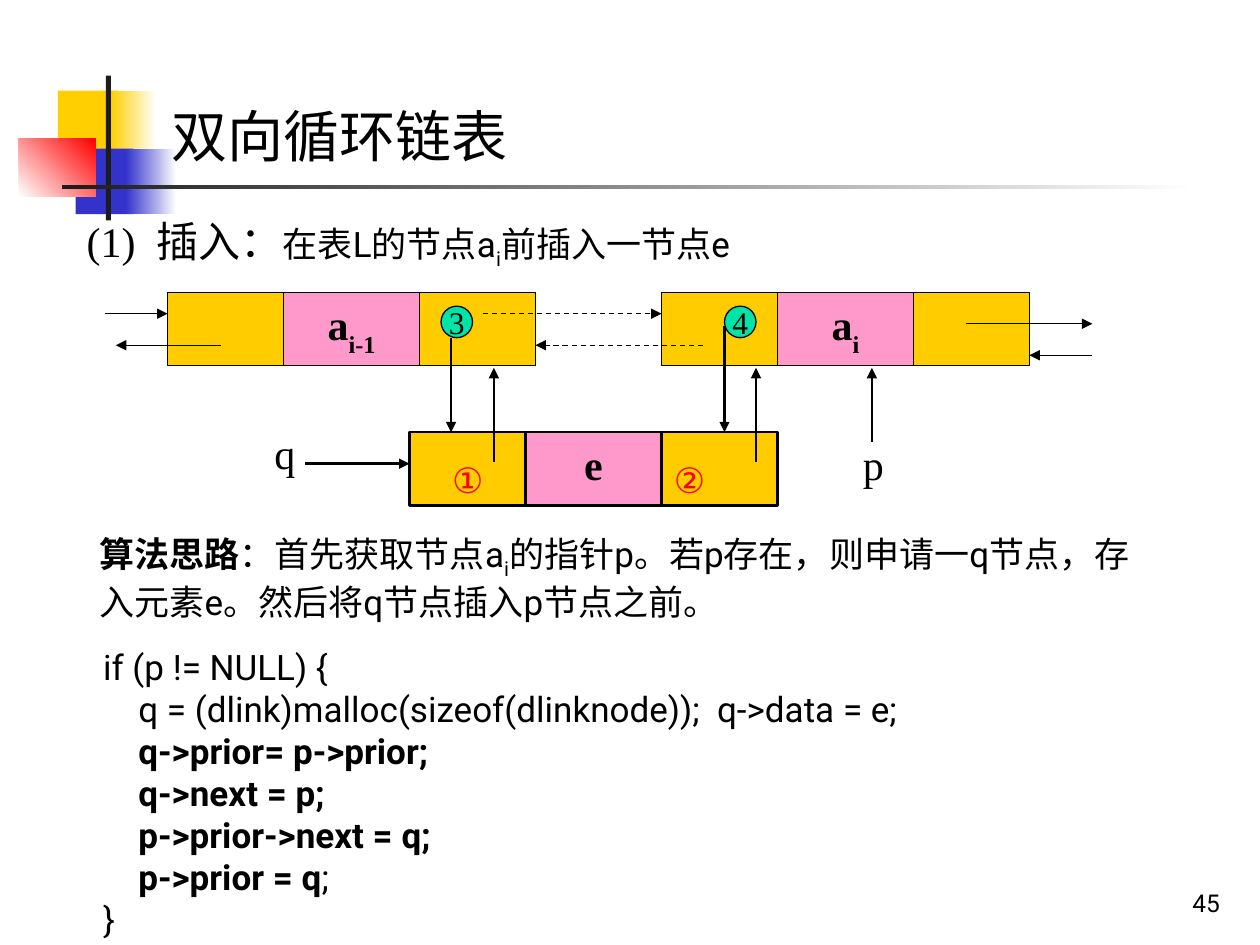
"""Build the slide on inserting a node into a doubly linked circular list."""
from lxml.etree import SubElement
from pptx import Presentation
from pptx.dml.color import RGBColor
from pptx.enum.dml import MSO_LINE_DASH_STYLE as Dash
from pptx.enum.shapes import MSO_CONNECTOR as Connector, MSO_SHAPE as Shape
from pptx.enum.text import MSO_ANCHOR as Anchor, PP_ALIGN as Align
from pptx.oxml.ns import qn
from pptx.util import Inches, Pt

COLORS = {
    "black": "000000", "white": "FFFFFF", "ink": "1C1C1C", "red": "FF0000",
    "yellow": "FFCF01", "blue": "3333CC", "pointer": "FFCC00",
    "data": "FF99CC", "step": "00E4A8",
}
SERIF, SANS = "Times New Roman", "Roboto"
CHINESE, TITLE = "Noto Sans CJK SC", "Noto Sans CJK JP"
SUB, BOLD = {"baseline": -25}, {"bold": True}

DECORATIONS = [
    ((0.46, 0.72, 0.48, 0.52), ["yellow"], 0),
    ((0.88, 0.72, 0.36, 0.52), ["yellow", "white"], 0),
    ((0.6, 1.18, 0.46, 0.52), ["blue"], 0),
    ((1, 1.18, 0.4, 0.52), ["blue", "white"], 0),
    ((0.15, 1.1, 0.61, 0.46), ["white", "red"], 45),
    ((0.84, 0.6, 0.04, 1.15), ["ink"], 0),
    ((0.49, 1.47, 9, 0.03), ["ink", "white"], 0),
]

TEXTS = [
    ((0.59, 1.66, 7.4, 0.54),
     [[("(1)  ", {"size": 24, "font": SERIF}), ("插入：", {"size": 24, "font": CHINESE}),
       ("在表L的节点a", {}), ("i", SUB), ("前插入一节点e", {})]], {}),
    ((1.26, 0.76, 8.74, 0.64), [[("双向循环链表", {})]],
     {"size": 32, "font": TITLE, "east_asian": TITLE}),
    ((0.69, 4.18, 8.5, 0.82),
     [[("算法思路", BOLD), ("：首先获取节点a", {}), ("i", SUB),
       ("的指针p。若p存在，则申请一q节点，存入元素e。然后将q节点插入p节点之前。", {})]], {}),
    ((2.08, 3.34, 0.5, 0.5), [[("q", {})]], {"size": 24, "font": SERIF}),
    ((6.75, 3.43, 0.42, 0.5), [[("p", {})]], {"size": 24, "font": SERIF}),
    ((7.7, 6.83, 2.08, 0.5), [[("45", {})]],
     {"size": 14, "align": Align.RIGHT, "anchor": Anchor.BOTTOM}),
]

CODE_BOX, CODE_INDENT = (0.72, 5.07, 8.5, 2.44), 0.28
CODE = [
    (0, [("if (p != NULL) {", {})]),
    (1, [("q = (dlink)malloc(sizeof(dlinknode));  q->data = e;", {})]),
    (1, [("q->prior= p->prior;", BOLD)]),
    (1, [("q->next = p;", BOLD)]),
    (1, [("p->prior->next = q;", BOLD)]),
    (1, [("p->prior = q", BOLD), (";", {})]),
    (0, [("}", {})]),
]

POINTER_WIDTH, DATA_WIDTH, CELL_HEIGHT = 0.92, 1.08, 0.58
NODES = [
    (1.33, 2.32, 0.75, "a", "i-1", "", ""),
    (5.25, 2.32, 0.75, "a", "i", "", ""),
    (3.25, 3.43, 1.5, "e", "", "①", "②"),
]
STEPS = [("3", 3.5), ("4", 5.75)]
STEP_TOP, STEP_SIZE = 2.43, 0.25

ARROWS = [
    (0.75, None, [(0.83, 2.49, 1.33, 2.49), (1.75, 2.74, 0.92, 2.74),
                  (8.67, 2.82, 8.17, 2.82), (7.67, 2.57, 8.67, 2.57)]),
    (0.75, Dash.DASH, [(5.58, 2.74, 4.25, 2.74), (3.83, 2.49, 5.25, 2.49)]),
    (1.5, None, [(3.92, 3.67, 3.92, 2.92), (6, 3.67, 6, 2.92),
                 (2.42, 3.68, 3.25, 3.68), (6.92, 3.51, 6.92, 2.92),
                 (3.58, 2.68, 3.58, 3.43), (5.75, 2.59, 5.75, 3.43)]),
]


def rgb(name):
    return RGBColor.from_string(COLORS[name])


def write(shape, paragraphs, size=20, font=SANS, east_asian=CHINESE, color="black", bold=False,
          align=Align.LEFT, anchor=Anchor.TOP, wrap=True, top=0.05, indents=()):
    frame = shape.text_frame
    frame.word_wrap = wrap
    frame.vertical_anchor = anchor
    frame.margin_top = Inches(top)
    for index, runs in enumerate(paragraphs):
        paragraph = frame.add_paragraph() if index else frame.paragraphs[0]
        paragraph.alignment = align
        if indents and indents[index]:
            paragraph._p.get_or_add_pPr().set("marL", str(Inches(indents[index])))
        for text, style in runs:
            run = paragraph.add_run()
            run.text = text
            run.font.size = Pt(style.get("size", size))
            run.font.bold = style.get("bold", bold)
            run.font.color.rgb = rgb(color)
            run.font.name = style.get("font", font)
            properties = run._r.get_or_add_rPr()
            SubElement(properties, qn("a:ea")).set("typeface", east_asian)
            if "baseline" in style:
                properties.set("baseline", str(style["baseline"] * 1000))


def add_text(slide, box, paragraphs, **style):
    write(slide.shapes.add_textbox(*map(Inches, box)), paragraphs, **style)


def add_block(slide, box, fills, angle=0, line=None, kind=Shape.RECTANGLE):
    shape = slide.shapes.add_shape(kind, *map(Inches, box))
    shape.shadow.inherit = False
    if len(fills) == 1:
        shape.fill.solid()
        shape.fill.fore_color.rgb = rgb(fills[0])
    else:
        shape.fill.gradient()
        shape.fill.gradient_angle = angle
        for stop, position, name in zip(shape.fill.gradient_stops, (0, 1), fills):
            stop.position = position
            stop.color.rgb = rgb(name)
    if line:
        shape.line.color.rgb = rgb("black")
        shape.line.width = Pt(line)
    else:
        shape.line.fill.background()
    return shape


def add_node(slide, left, top, line, label, subscript, prior_mark, next_mark):
    columns = [
        (left, POINTER_WIDTH, "pointer", prior_mark, 0.24),
        (left + POINTER_WIDTH, DATA_WIDTH, "data", label, 0),
        (left + POINTER_WIDTH + DATA_WIDTH, POINTER_WIDTH, "pointer", next_mark, 0),
    ]
    for cell_left, width, fill, text, indent in columns:
        cell = add_block(slide, (cell_left, top, width, CELL_HEIGHT), [fill], line=line)
        if fill == "data":
            runs = [(text, {})]
            if subscript:
                runs.append((subscript, {"baseline": -30}))
            write(cell, [runs], size=24, font=SERIF, bold=True, align=Align.CENTER)
        elif text:
            write(cell, [[(text, {})]], color="red", top=0.21, indents=[indent])


def add_arrow(slide, ends, width, dash):
    arrow = slide.shapes.add_connector(Connector.STRAIGHT, *map(Inches, ends))
    arrow.line.color.rgb = rgb("black")
    arrow.line.width = Pt(width)
    if dash:
        arrow.line.dash_style = dash
    SubElement(arrow.line._get_or_add_ln(), qn("a:tailEnd")).set("type", "triangle")
    SubElement(arrow._element.spPr, qn("a:effectLst"))


def main():
    presentation = Presentation()
    presentation.slide_width, presentation.slide_height = Inches(10), Inches(7.5)
    slide = presentation.slides.add_slide(presentation.slide_layouts[6])
    for box, fills, angle in DECORATIONS:
        add_block(slide, box, fills, angle)
    for node in NODES:
        add_node(slide, *node)
    for number, left in STEPS:
        circle = add_block(slide, (left, STEP_TOP, STEP_SIZE, STEP_SIZE), ["step"],
                           line=0.75, kind=Shape.OVAL)
        write(circle, [[(number, {})]], size=18, font=SERIF, align=Align.CENTER,
              anchor=Anchor.MIDDLE, wrap=False)
    for width, dash, lines in ARROWS:
        for ends in lines:
            add_arrow(slide, ends, width, dash)
    for box, paragraphs, style in TEXTS:
        add_text(slide, box, paragraphs, **style)
    add_text(slide, CODE_BOX, [runs for _, runs in CODE],
             indents=[level * CODE_INDENT for level, _ in CODE])
    presentation.save("out.pptx")


if __name__ == "__main__":
    main()
